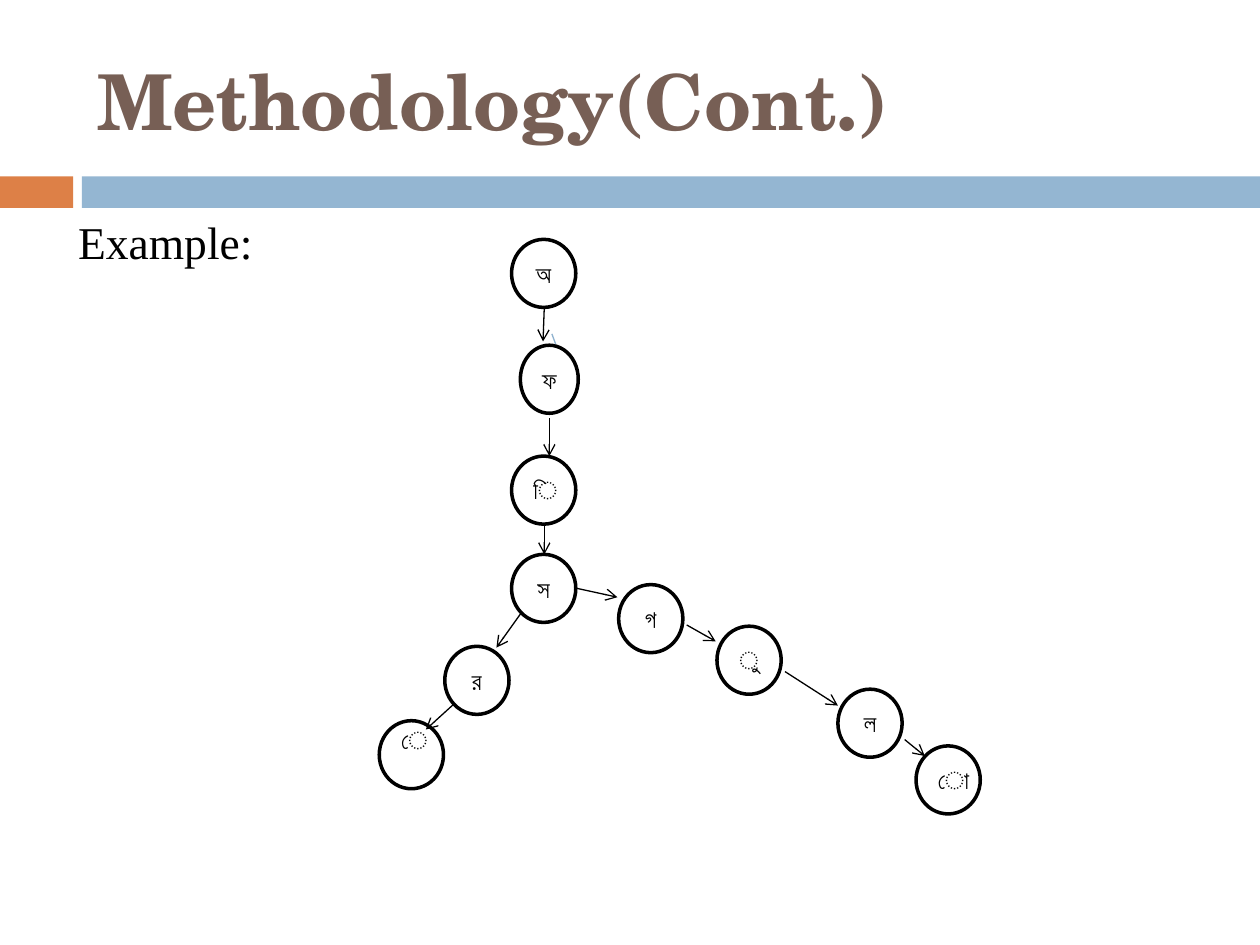
"""Build a slide that shows a letter tree as an example of the method."""
from lxml import etree
from pptx import Presentation
from pptx import util as u
from pptx.dml.color import RGBColor
from pptx.enum import shapes, text
from pptx.oxml.ns import qn

W, H = 10, 7.5
COLORS = {"accent": "DD8047", "band": "94B6D2", "title": "775F55",
          "ink": "000000", "paper": "FFFFFF", "pale": "8FB2CF"}
NODE_W, NODE_H, TRUNK_X = 0.51, 0.54, 4.06
NODES = [
    ("অ", TRUNK_X, 1.9), ("স", TRUNK_X, 4.4), ("ি", TRUNK_X, 3.62),
    ("ফ", 4.13, 2.74, 0.46), ("ল", 6.65, 5.47), ("ু", 5.69, 4.97),
    ("গ", 4.91, 4.64), ("র", 3.53, 5.13), ("ে", 3.01, 5.72, NODE_W, 0.29),
    ("ো", 7.27, 5.92),
]
ARROWS = [
    (4.32, 2.44, 4.31, 2.71), (4.36, 3.32, 4.36, 3.62),
    (4.32, 4.15, 4.32, 4.4), (4.14, 4.86, 3.94, 5.14),
    (3.6, 5.59, 3.38, 5.79), (4.58, 4.67, 4.9, 4.74),
    (5.45, 4.96, 5.68, 5.09), (6.23, 5.33, 6.65, 5.6),
    (7.18, 5.87, 7.34, 6),
]


def rgb(name):
    return RGBColor.from_string(COLORS[name])


def set_all(obj, values):
    for key, value in values.items():
        setattr(obj, key, value)


def write(tf, words, font, size, color, align, bold=False):
    p = tf.paragraphs[0]
    p.alignment = align
    r = p.add_run()
    r.text = words
    set_all(r.font, {"name": font, "size": u.Pt(size), "bold": bold})
    r.font.color.rgb = rgb(color)
    for tag in ("a:ea", "a:cs"):
        etree.SubElement(r.font._element, qn(tag), typeface=font)
    return p


def fill_placeholder(sp, box, anchor, *style, **extra):
    set_all(sp, dict(zip(("left", "top", "width", "height"), map(u.Inches, box))))
    set_all(sp.text_frame, {"vertical_anchor": anchor, "word_wrap": True,
                            "auto_size": text.MSO_AUTO_SIZE.NONE})
    return write(sp.text_frame, *style, text.PP_ALIGN.LEFT, **extra)


def add_solid(s, kind, box, fill):
    sp = s.shapes.add_shape(kind, *map(u.Inches, box))
    sp.shadow.inherit = False
    sp.fill.solid()
    sp.fill.fore_color.rgb = rgb(fill)
    sp.line.fill.background()
    return sp


def add_node(s, letter, x, y, width=NODE_W, bottom=0.05):
    sp = add_solid(s, shapes.MSO_SHAPE.OVAL, (x, y, width, NODE_H), "paper")
    sp.line.color.rgb = rgb("ink")
    sp.line.width = u.Pt(2)
    set_all(sp.text_frame, {"vertical_anchor": text.MSO_ANCHOR.MIDDLE,
                            "word_wrap": True, "margin_bottom": u.Inches(bottom)})
    write(sp.text_frame, letter, "Arial", 14, "ink", text.PP_ALIGN.CENTER)


def add_line(s, ends, color="ink", arrow=True):
    sp = s.shapes.add_connector(shapes.MSO_CONNECTOR.STRAIGHT, *map(u.Inches, ends))
    sp.line.color.rgb = rgb(color)
    sp.line.width = u.Pt(0.75)
    if arrow:
        etree.SubElement(sp.line._get_or_add_ln(), qn("a:tailEnd"), type="arrow")
    etree.SubElement(sp._element.spPr, qn("a:effectLst"))


def main():
    prs = Presentation()
    prs.slide_width, prs.slide_height = u.Inches(W), u.Inches(H)
    s = prs.slides.add_slide(prs.slide_layouts[1])
    title, body = s.placeholders
    fill_placeholder(title, (0.67, 0.25, 8.92, 1.08), text.MSO_ANCHOR.MIDDLE,
                     "Methodology(Cont.)", "TeX Gyre Schola", 44, "title", bold=True)
    p = fill_placeholder(body, (0.45, 1.65, 9.14, 5.01), text.MSO_ANCHOR.TOP,
                         "Example:", "Times New Roman", 26, "ink")
    p.space_before = u.Pt(7)
    pPr = p._p.get_or_add_pPr()
    pPr.set("marL", str(u.Inches(0.5)))
    pPr.set("indent", str(u.Inches(-0.43)))
    etree.SubElement(pPr, qn("a:buNone"))

    for x, width, fill in ((0, 0.58, "accent"), (0.65, W - 0.65, "band")):
        add_solid(s, shapes.MSO_SHAPE.RECTANGLE, (x, 1.4, width, 0.25), fill)
    for node in NODES:
        add_node(s, *node)
    add_line(s, (4.38, 2.65, 4.41, 2.73), "pale", arrow=False)
    for ends in ARROWS:
        add_line(s, ends)
    prs.save("out.pptx")


if __name__ == "__main__":
    main()
